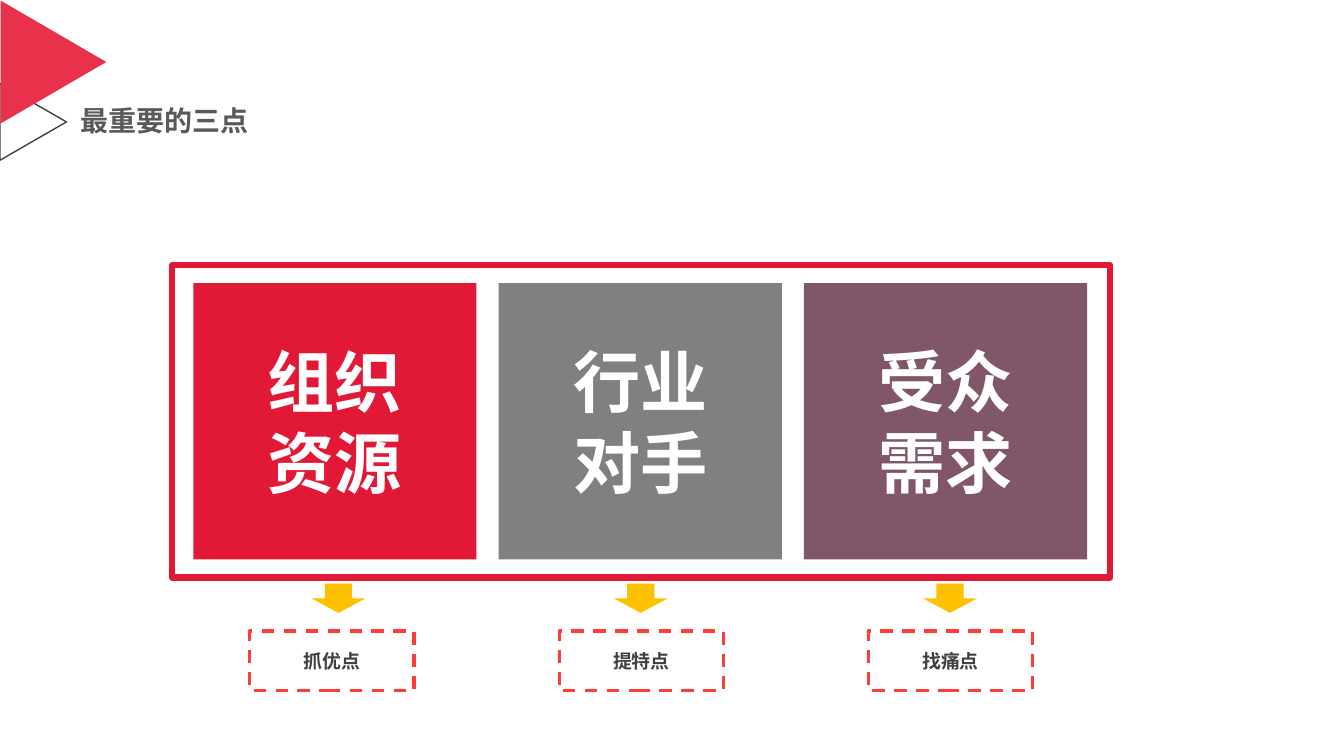
from lxml import etree
from pptx import Presentation
from pptx.dml.color import RGBColor
from pptx.enum.dml import MSO_LINE
from pptx.enum.shapes import MSO_SHAPE
from pptx.enum.text import MSO_ANCHOR, MSO_AUTO_SIZE, PP_ALIGN
from pptx.oxml.ns import qn
from pptx.util import Inches, Pt

RECT = MSO_SHAPE.RECTANGLE
TRIANGLE = MSO_SHAPE.ISOSCELES_TRIANGLE
ARROW = MSO_SHAPE.DOWN_ARROW
DASH = MSO_LINE.DASH
MIDDLE = MSO_ANCHOR.MIDDLE
CENTER = PP_ALIGN.CENTER
LEFT = PP_ALIGN.LEFT
FIT_TEXT = MSO_AUTO_SIZE.SHAPE_TO_FIT_TEXT

FONT = "Noto Sans CJK SC"
RED = "E11936"
DARK = "404040"
POINTS = [
    (["组织", "资源"], RED, "抓优点", 3.09),
    (["行业", "对手"], "808080", "提特点", 6.09),
    (["受众", "需求"], "82566A", "找痛点", 9.16),
]


def rgb(value):
    return RGBColor.from_string(value)


class SlideBuilder:
    """Draws styled elements on the current slide."""

    def __init__(self, slide):
        self.shapes = slide.shapes

    def shape(self, kind, box, fill=None, line=None, width=1, dash=None, rotation=0):
        shape = self.shapes.add_shape(kind, *map(Inches, box))
        shape.shadow.inherit = False
        shape.rotation = rotation
        if fill:
            shape.fill.solid()
            shape.fill.fore_color.rgb = rgb(fill)
        else:
            shape.fill.background()
        if line:
            shape.line.color.rgb = rgb(line)
            shape.line.width = Pt(width)
            if dash:
                shape.line.dash_style = dash
        else:
            shape.line.fill.background()
        return shape

    def label(self, shape, lines, size, color, align=CENTER):
        frame = shape.text_frame
        frame.vertical_anchor = MIDDLE
        frame.text = "\n".join(lines)
        for paragraph in frame.paragraphs:
            paragraph.alignment = align
            font = paragraph.font
            font.size = Pt(size)
            font.bold = True
            font.color.rgb = rgb(color)
            font.name = FONT
            defaults = paragraph._p.pPr.find(qn("a:defRPr"))
            etree.SubElement(defaults, qn("a:ea")).set("typeface", FONT)
        return frame

    def title(self, text, box):
        heading = self.shapes.add_textbox(*map(Inches, box))
        frame = self.label(heading, [text], 20, "595959", LEFT)
        frame.margin_left = frame.margin_right = Inches(0.05)
        frame.margin_top = frame.margin_bottom = Inches(0.05)
        frame.word_wrap = False
        frame.auto_size = FIT_TEXT
        frame.paragraphs[0].line_spacing = 0.9

    def card(self, lines, box, fill):
        self.label(self.shape(RECT, box, fill=fill), lines, 48, "FFFFFF")

    def tag(self, text, box):
        outline = self.shape(RECT, box, line="FF3C36", width=2.25, dash=DASH)
        self.label(outline, [text], 13.5, DARK)


def main():
    deck = Presentation()
    deck.slide_width = Inches(13.34)
    deck.slide_height = Inches(7.5)
    builder = SlideBuilder(deck.slides.add_slide(deck.slide_layouts[6]))

    builder.shape(TRIANGLE, (-0.05, 0.88, 0.76, 0.66), line=DARK, rotation=90)
    builder.shape(TRIANGLE, (-0.08, 0.09, 1.22, 1.05), fill="E8314A", rotation=90)
    builder.title("最重要的三点", (0.75, 1.02, 1.77, 0.39))
    builder.shape(RECT, (1.71, 2.63, 9.31, 3.1), line=RED, width=4.5)

    for i, (lines, fill, advice, arrow_left) in enumerate(POINTS):
        builder.card(lines, (1.92 + 3.03 * i, 2.81, 2.81, 2.74), fill)
        builder.shape(ARROW, (arrow_left, 5.79, 0.54, 0.29), fill="FFC000")
        builder.tag(advice, (2.48 + 3.07 * i, 6.26, 1.63, 0.59))

    deck.save("out.pptx")


if __name__ == "__main__":
    main()
